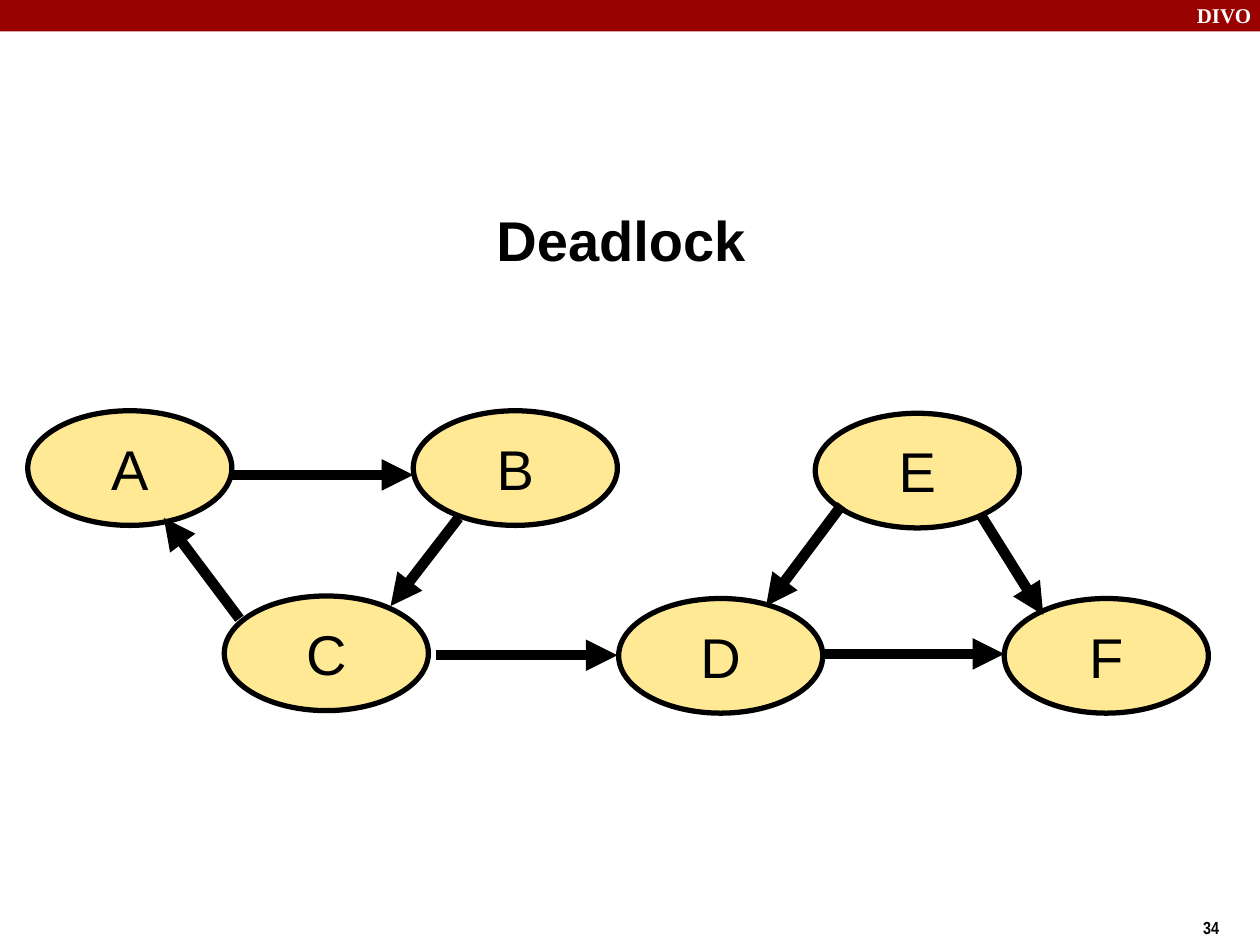
import pptx
import pptx.dml.color
import pptx.enum.shapes
import pptx.enum.text
import pptx.oxml
import pptx.oxml.ns
import pptx.util
from pptx.util import Inches

COLORS = {"banner": "990000", "node": "FFE994", "ink": "000000", "paper": "FFFFFF"}
NODE_WIDTH, NODE_HEIGHT = 1.62, 0.91
NODES = {
    "A": (0.22, 3.26),
    "B": (3.28, 3.26),
    "C": (1.78, 4.73),
    "D": (4.91, 4.75),
    "F": (7.97, 4.75),
    "E": (6.47, 3.28),
}
ARROWS = [
    ((1.84, 3.77), (3.28, 3.77)),
    ((3.64, 4.11), (3.1, 4.81)),
    ((1.9, 4.91), (1.3, 4.11)),
    ((6.54, 5.19), (7.97, 5.19)),
    ((7.78, 4.08), (8.28, 4.88)),
    ((6.68, 4.01), (6.08, 4.81)),
    ((3.46, 5.2), (4.9, 5.2)),
]


def rgb(name):
    return pptx.dml.color.RGBColor.from_string(COLORS[name])


def write_text(frame, text, size=32, font="Arial", color="ink", bold=False, align="LEFT"):
    paragraph = frame.paragraphs[0]
    paragraph.alignment = getattr(pptx.enum.text.PP_ALIGN, align)
    run = paragraph.add_run()
    run.text = text
    run.font.size = pptx.util.Pt(size)
    run.font.name = font
    run.font.bold = bold
    run.font.color.rgb = rgb(color)


class SlideBuilder:
    node_line = 3
    arrow_line = 6

    def __init__(self, slide):
        self.slide = slide

    def shape(self, kind, left, top, width, height, fill):
        shape = self.slide.shapes.add_shape(
            kind, Inches(left), Inches(top), Inches(width), Inches(height))
        shape.shadow.inherit = False
        shape.fill.solid()
        shape.fill.fore_color.rgb = rgb(fill)
        return shape

    def banner(self, width, height):
        kind = pptx.enum.shapes.MSO_SHAPE.RECTANGLE
        shape = self.shape(kind, 0, 0, width, height, "banner")
        shape.line.fill.background()

    def node(self, name, left, top):
        kind = pptx.enum.shapes.MSO_SHAPE.OVAL
        shape = self.shape(kind, left, top, NODE_WIDTH, NODE_HEIGHT, "node")
        shape.line.color.rgb = rgb("ink")
        shape.line.width = pptx.util.Pt(self.node_line)
        frame = shape.text_frame
        frame.word_wrap = False
        frame.vertical_anchor = pptx.enum.text.MSO_ANCHOR.MIDDLE
        write_text(frame, name, align="CENTER")

    def text(self, text, left, top, width, height, **style):
        box = self.slide.shapes.add_textbox(
            Inches(left), Inches(top), Inches(width), Inches(height))
        box.text_frame.word_wrap = True
        write_text(box.text_frame, text, **style)

    def arrow(self, start, end):
        kind = pptx.enum.shapes.MSO_CONNECTOR.STRAIGHT
        points = [Inches(value) for value in (*start, *end)]
        connector = self.slide.shapes.add_connector(kind, *points)
        connector.line.color.rgb = rgb("ink")
        connector.line.width = pptx.util.Pt(self.arrow_line)
        head = pptx.oxml.parse_xml(
            f'<a:tailEnd {pptx.oxml.ns.nsdecls("a")} type="triangle"/>')
        connector.line._get_or_add_ln().append(head)
        effects = pptx.oxml.parse_xml(f'<a:effectLst {pptx.oxml.ns.nsdecls("a")}/>')
        connector._element.spPr.append(effects)


def main():
    presentation = pptx.Presentation()
    presentation.slide_width = Inches(10)
    presentation.slide_height = Inches(7.5)
    builder = SlideBuilder(presentation.slides.add_slide(presentation.slide_layouts[6]))

    builder.banner(10, 0.25)
    builder.text("DIVO", 9.4, -0.03, 0.67, 0.3,
                 size=12, font="Times New Roman", color="paper", bold=True)
    builder.text("34", 9.45, 7.23, 0.75, 0.29, size=10, font="Arial Narrow", bold=True)
    builder.text("Deadlock", 3.48, 1.58, 2.9, 0.6, bold=True, align="CENTER")
    for name, (left, top) in NODES.items():
        builder.node(name, left, top)
    for start, end in ARROWS:
        builder.arrow(start, end)

    presentation.save("out.pptx")


if __name__ == "__main__":
    main()
